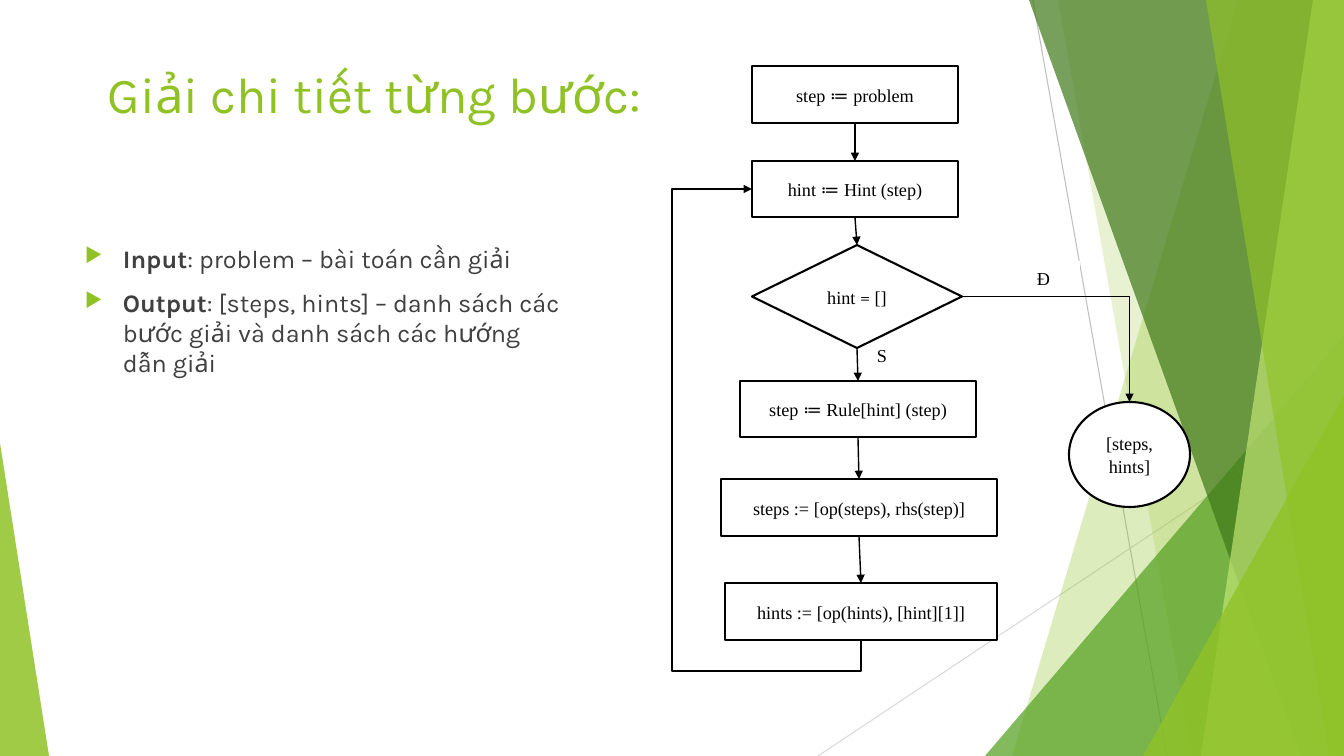
from lxml import etree
from pptx import Presentation
from pptx.dml.color import RGBColor
from pptx.enum.shapes import MSO_CONNECTOR as LINK, MSO_SHAPE as SHAPE
from pptx.enum.text import MSO_ANCHOR as ANCHOR, PP_ALIGN as ALIGN
from pptx.oxml.ns import qn
from pptx.util import Emu, Pt

BLACK = RGBColor(0, 0, 0)
WHITE = RGBColor(255, 255, 255)
GRAY = RGBColor(0x40, 0x40, 0x40)
SILVER = RGBColor(0xBF, 0xBF, 0xBF)
PALE = RGBColor(0xD9, 0xD9, 0xD9)
LIME = RGBColor(0x90, 0xC2, 0x26)
GREEN = RGBColor(0x54, 0xA0, 0x21)
DARK = RGBColor(0x3F, 0x78, 0x19)
LIGHT = RGBColor(0xC0, 0xE4, 0x74)
SANS, SERIF, MATH = "Karla", "Times New Roman", "Cambria"
WIDE, HIGH = 1344, 756

RAYS = [((1033, 0, 1167, HIGH), SILVER), ((WIDE, 406, 818, HIGH), PALE)]
# Bands reach the right edge: top-left x, bottom-left x, colour, opacity
# Wedges are triangles: box, tip position, colour, opacity
DECOR = [
    ("band", (1238, 1012), LIME, 30),
    ("band", (1058, 1192), LIME, 20),
    ("wedge", (985, 336, 359, 420, 1), GREEN, 72),
    ("band", (1029, 1301), DARK, 70),
    ("band", (1313, 1201), LIGHT, 70),
    ("band", (1206, 1329), LIME, 65),
    ("wedge", (1143, 396, 201, 360, 1), LIME, 80),
    ("wedge", (0, 443, 49, 313, 0), LIME, 85),
]
TITLE = "Giải chi tiết từng bước:"
BODY = [
    ("Input", ": problem – bài toán cần giải"),
    ("Output", ": [steps, hints] – danh sách các bước giải "
               "và danh sách các hướng dẫn giải"),
]
LABELS = [("S", 867, 338), ("Đ", 1027, 261)]
NODES = {
    "start": (SHAPE.RECTANGLE, (752, 66, 206, 57), ["step ", "≔", " problem"]),
    "hint": (SHAPE.RECTANGLE, (752, 161, 206, 56), ["hint ", "≔", " Hint (step)"]),
    "test": (SHAPE.DIAMOND, (752, 245, 210, 103), ["hint ", "=", " []"]),
    "rule": (SHAPE.RECTANGLE, (740, 381, 236, 56), ["step ", "≔", " Rule[hint] (step)"]),
    "steps": (SHAPE.RECTANGLE, (721, 479, 276, 57), ["steps := [op(steps), rhs(step)]"]),
    "hints": (SHAPE.RECTANGLE, (725, 583, 272, 57), ["hints := [op(hints), [hint][1]]"]),
    "done": (SHAPE.OVAL, (1069, 402, 121, 105), ["[steps, hints]"]),
}
CHAIN = ["start", "hint", "test", "rule", "steps", "hints"]
LOOP_X, LOOP_Y = 672, 671

deck = Presentation()


def px(n):
    return Emu(round(n * 914400 / 100.8))


deck.slide_width, deck.slide_height = px(WIDE), px(HIGH)
slide = deck.slides.add_slide(deck.slide_layouts[6])
shapes = slide.shapes


def sub(node, tag, **attrs):
    return etree.SubElement(node, qn(tag), attrs)


def paint(shape, color, alpha=100, edge=None):
    shape.shadow.inherit = False
    shape.fill.solid()
    shape.fill.fore_color.rgb = color
    if alpha < 100:
        tone = shape.fill._xPr.find(".//" + qn("a:srgbClr"))
        sub(tone, "a:alpha", val=str(alpha * 1000))
    if edge is None:
        shape.line.fill.background()
    else:
        shape.line.color.rgb = edge
        shape.line.width = Pt(1.5)


def add_run(para, text, font, size, color, bold=False):
    run = para.add_run()
    run.text = text
    run.font.name, run.font.size, run.font.bold = font, Pt(size), bold
    run.font.color.rgb = color


def add_box(kind, box, parts, edge, align, anchor):
    shape = shapes.add_shape(kind, *map(px, box))
    paint(shape, WHITE, edge=edge)
    frame = shape.text_frame
    frame.word_wrap, frame.vertical_anchor = True, anchor
    para = frame.paragraphs[0]
    para.alignment, para.line_spacing, para.space_after = align, 1.06, Pt(8)
    for text in parts:
        add_run(para, text, MATH if text in ("≔", "=") else SERIF, 13, BLACK)
    return shape


def add_line(kind, ends, color, width, arrow=False):
    line = shapes.add_connector(kind, *map(px, ends))
    line.line.color.rgb, line.line.width = color, Pt(width)
    if arrow:
        sub(line.line._get_or_add_ln(), "a:tailEnd", type="triangle")
    sub(line._element.spPr, "a:effectLst")
    return line


def bend(line, preset, *adjust):
    """Swap the elbow preset and set its bends as shares of its box."""
    geom = line._element.spPr.find(qn("a:prstGeom"))
    geom.set("prst", preset)
    guides = geom.find(qn("a:avLst"))
    for i, share in enumerate(adjust, 1):
        sub(guides, "a:gd", name=f"adj{i}", fmla=f"val {round(share * 100000)}")


def add_text(box):
    frame = shapes.add_textbox(*map(px, box)).text_frame
    frame.word_wrap = True
    return frame


for ends, color in RAYS:
    add_line(LINK.STRAIGHT, ends, color, 0.75)
for kind, place, color, alpha in DECOR:
    if kind == "band":
        top, low = place
        path = shapes.build_freeform(px(top), 0, scale=1.0)
        path.add_line_segments(
            [(px(WIDE), 0), (px(WIDE), px(HIGH)), (px(low), px(HIGH))], close=True)
        part = path.convert_to_shape()
    else:
        *box, tip = place
        part = shapes.add_shape(SHAPE.ISOSCELES_TRIANGLE, *map(px, box))
        part.adjustments[0] = tip
    paint(part, color, alpha)

add_run(add_text((98, 58, 948, 145)).paragraphs[0], TITLE, SANS, 36, LIME)

frame = add_text((75, 238, 497, 427))
for i, (head, rest) in enumerate(BODY):
    para = frame.add_paragraph() if i else frame.paragraphs[0]
    para.space_before = Pt(10)
    props = para._p.get_or_add_pPr()
    props.set("marL", str(px(38)))
    props.set("indent", str(-px(38)))
    sub(sub(props, "a:buClr"), "a:srgbClr", val=str(LIME))
    sub(props, "a:buSzPct", val="80000")
    sub(props, "a:buChar", char="▶")
    add_run(para, head, SANS, 18, GRAY, True)
    add_run(para, rest, SANS, 18, GRAY)

for text, x, y in LABELS:
    add_box(SHAPE.RECTANGLE, (x, y, 53, 44), [text], None, ALIGN.LEFT, ANCHOR.TOP)
nodes = {name: add_box(kind, box, parts, BLACK, ALIGN.CENTER, ANCHOR.MIDDLE)
         for name, (kind, box, parts) in NODES.items()}

for a, b in zip(CHAIN, CHAIN[1:]):
    line = add_line(LINK.STRAIGHT, (0, 0, 0, 0), BLACK, 1, True)
    line.begin_connect(nodes[a], 2)
    line.end_connect(nodes[b], 0)

# The loop lies on its side: its box is turned a quarter about its centre
x, y, w, h = NODES["hints"][1]
x1, y1 = x + w / 2, y + h
x, y, w, h = NODES["hint"][1]
x2, y2 = x, y + h / 2
midx, midy, run, rise = (x1 + x2) / 2, (y1 + y2) / 2, y1 - y2, x1 - x2
loop = add_line(LINK.ELBOW, (midx + run / 2, midy - rise / 2,
                             midx - run / 2, midy + rise / 2), BLACK, 1, True)
loop._element.spPr.find(qn("a:xfrm")).set("rot", "5400000")
bend(loop, "bentConnector4", (y1 - LOOP_Y) / run, (x1 - LOOP_X) / rise)

x, y, w, h = NODES["test"][1]
left, top, width, _ = NODES["done"][1]
leave = add_line(LINK.ELBOW, (x + w, y + h / 2, left + width / 2, top), BLACK, 1, True)
bend(leave, "bentConnector2")

deck.save("out.pptx")
